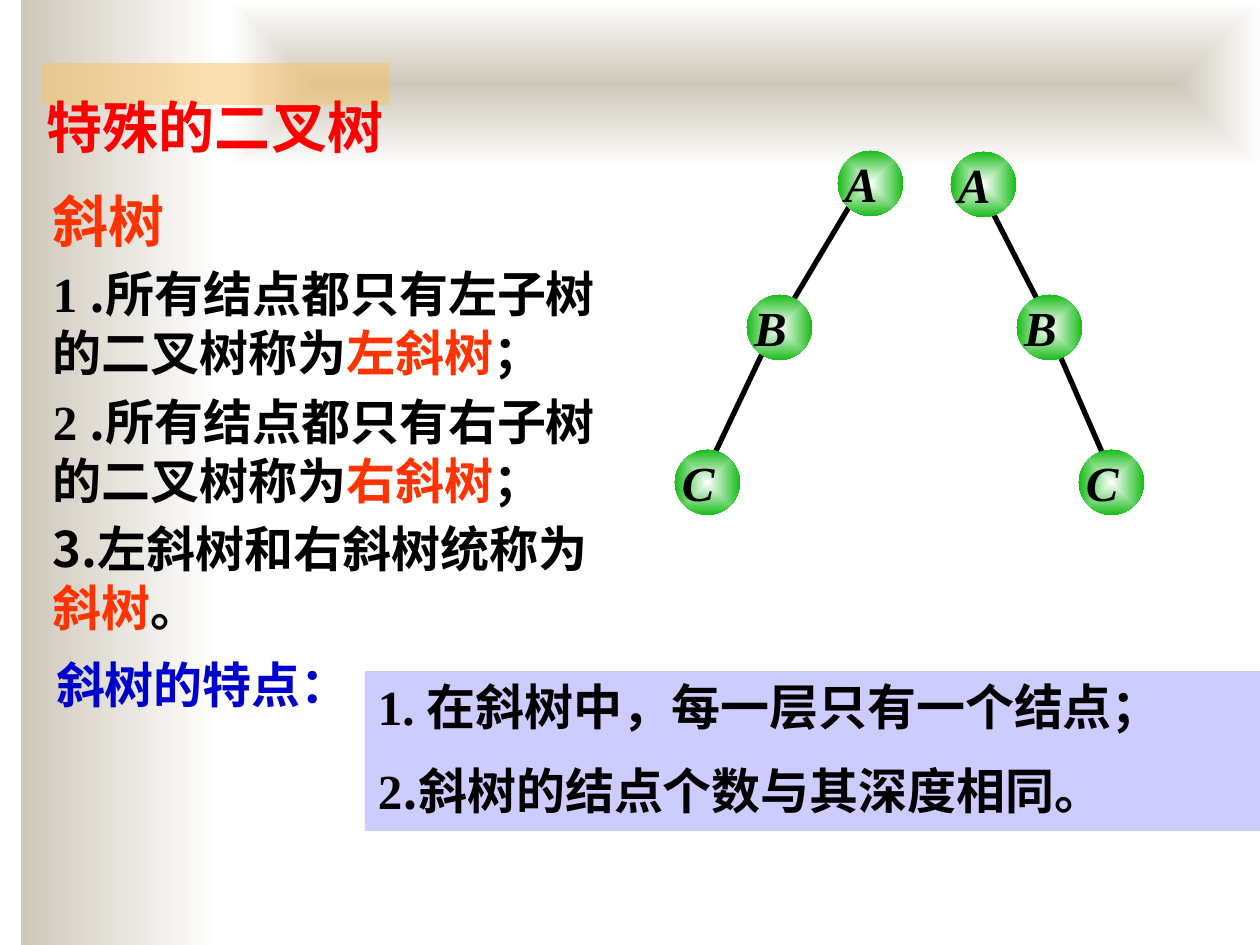
from dataclasses import dataclass

from lxml.etree import SubElement
from pptx import Presentation
from pptx.dml.color import RGBColor
from pptx.enum.shapes import MSO_CONNECTOR as Connector, MSO_SHAPE as Preset
from pptx.enum.text import MSO_ANCHOR as Anchor, PP_ALIGN as Align
from pptx.oxml.ns import qn
from pptx.util import Emu, Pt

EMU_PER_PX = 914400 / 126


@dataclass(frozen=True)
class Theme:
    latin: str = "Times New Roman"
    cjk: str = "Noto Sans CJK SC"
    heading: int = 32
    body: int = 28
    line_height: float = 1.2
    black: str = "000000"
    red: str = "FF0000"
    accent: str = "FF3300"
    blue: str = "0000CC"
    white: str = "FFFFFF"
    sand: str = "CEC8BA"
    highlight: str = "FAC164"
    panel: str = "CCCCFF"
    node: str = "00B400"


THEME = Theme()


def px(value):
    return Emu(round(value * EMU_PER_PX))


def px_all(values):
    return [px(value) for value in values]


def apply(target, formats):
    for name, value in formats.items():
        setattr(target, name, value)


def add_plain_shape(shapes, preset, box):
    shape = shapes.add_shape(preset, *px_all(box))
    shape.shadow.inherit = False
    shape.line.fill.background()
    return shape


def fill_solid(shape, color):
    shape.fill.solid()
    shape.fill.fore_color.rgb = RGBColor.from_string(color)


def fill_gradient(shape, start, end, from_centre=False):
    shape.fill.gradient()
    shape.fill.gradient_angle = 0
    for stop, color in zip(shape.fill.gradient_stops, (start, end)):
        stop.color.rgb = RGBColor.from_string(color)
    if from_centre:
        gradient = shape._element.spPr.find(qn("a:gradFill"))
        gradient.remove(gradient.find(qn("a:lin")))
        centre = SubElement(gradient, qn("a:path"), {"path": "shape"})
        SubElement(centre, qn("a:fillToRect"), dict.fromkeys("ltrb", "50000"))


def write_paragraphs(frame, paragraphs, gap, margins=(13, 6, 13, 6)):
    """Each paragraph is (size, runs); each run is (text, color, latin font)."""
    left, top, right, bottom = px_all(margins)
    apply(frame, {"word_wrap": True, "vertical_anchor": Anchor.TOP,
                  "margin_left": left, "margin_top": top,
                  "margin_right": right, "margin_bottom": bottom})
    for index, (size, runs) in enumerate(paragraphs):
        paragraph = frame.add_paragraph() if index else frame.paragraphs[0]
        apply(paragraph, {"alignment": Align.LEFT,
                          "space_before": Pt(size * gap if index else 0),
                          "line_spacing": Pt(size * THEME.line_height)})
        for text, color, font in runs:
            run = paragraph.add_run()
            run.text = text
            apply(run.font, {"name": font, "size": Pt(size), "bold": True})
            run.font.color.rgb = RGBColor.from_string(color)
            SubElement(run._r.rPr, qn("a:ea"), {"typeface": THEME.cjk})


def add_text(slide, box, paragraphs, gap, **options):
    frame = slide.shapes.add_textbox(*px_all(box)).text_frame
    write_paragraphs(frame, paragraphs, gap, **options)


def add_backdrop(slide, box):
    left, top, width, height = box
    # Side band and top banner
    side = add_plain_shape(slide.shapes, Preset.RECTANGLE, (left + 21, top, 199, height))
    fill_gradient(side, THEME.sand, THEME.white)
    banner = add_plain_shape(slide.shapes, Preset.RECTANGLE,
                             (left + 231, top, width - 231, 168))
    fill_gradient(banner, THEME.sand, THEME.white, from_centre=True)
    # Half-transparent highlight
    highlight = add_plain_shape(slide.shapes, Preset.RECTANGLE,
                                (left + 42, top + 63, 347, 42))
    fill_solid(highlight, THEME.highlight)
    color = highlight._element.spPr.find(qn("a:solidFill"))[0]
    SubElement(color, qn("a:alpha"), {"val": "50000"})


def add_title(slide, box):
    runs = [("特殊的二叉树", THEME.red, THEME.latin)]
    add_text(slide, box, [(THEME.heading, runs)], 0.5)


def add_definitions(slide, box):
    black, accent, latin, cjk = THEME.black, THEME.accent, THEME.latin, THEME.cjk
    paragraphs = [(THEME.heading, [("斜树", accent, latin)])]
    for number, side in (("1 ", "左"), ("2 ", "右")):
        paragraphs.append((THEME.body, [
            (number, black, latin),
            (f".所有结点都只有{side}子树的二叉树称为", black, cjk),
            (f"{side}斜树", accent, cjk),
            ("；", black, cjk)]))
    paragraphs.append((THEME.body, [("3.左斜树和右斜树统称为", black, cjk),
                                    ("斜树", accent, cjk), ("。", black, cjk)]))
    add_text(slide, box, paragraphs, 0.2, margins=(0, 6, 0, 6))


def add_features(slide, box):
    left, top, width, height = box
    black, latin, cjk = THEME.black, THEME.latin, THEME.cjk
    # Panel with the two features
    panel = add_plain_shape(slide.shapes, Preset.RECTANGLE,
                            (left + 322, top + 22, width - 322, height - 22))
    fill_solid(panel, THEME.panel)
    write_paragraphs(panel.text_frame, [
        (THEME.body, [("1. ", black, latin),
                      ("在斜树中，每一层只有一个结点；", black, cjk)]),
        (THEME.body, [("2", black, latin),
                      (".斜树的结点个数与其深度相同。", black, cjk)])], 0.5)
    # Label beside the panel
    add_text(slide, (left, top, 525, 72),
             [(THEME.body, [("斜树的特点：", THEME.blue, latin)])], 0.5)


def add_node(shapes, box, letter):
    left, top, _, _ = box
    circle = add_plain_shape(shapes, Preset.OVAL, box)
    circle.rotation = 352.6
    fill_gradient(circle, THEME.white, THEME.node, from_centre=True)
    frame = shapes.add_textbox(*px_all((left + 7, top - 5, 54, 76))).text_frame
    apply(frame, {"word_wrap": True, "margin_left": 0, "margin_top": px(8),
                  "margin_right": 0, "margin_bottom": 0})
    run = frame.paragraphs[0].add_run()
    run.text = letter
    apply(run.font, {"name": THEME.latin, "size": Pt(THEME.body),
                     "bold": True, "italic": True})
    run.font.color.rgb = RGBColor.from_string(THEME.black)


def add_tree(slide, origin, nodes, edges):
    left, top = origin
    shapes = slide.shapes.add_group_shape().shapes
    # Edges lie behind the nodes
    for x1, y1, x2, y2 in edges:
        edge = shapes.add_connector(
            Connector.STRAIGHT, *px_all((left + x1, top + y1, left + x2, top + y2)))
        edge.line.width = Pt(3)
        edge.line.color.rgb = RGBColor.from_string(THEME.black)
        SubElement(edge._element.spPr, qn("a:effectLst"))
    for letter, (x, y) in zip("ABC", nodes):
        add_node(shapes, (left + x, top + y, 65, 65), letter)


def main():
    presentation = Presentation()
    apply(presentation, {"slide_width": px(1260), "slide_height": px(945)})
    slide = presentation.slides.add_slide(presentation.slide_layouts[6])
    add_backdrop(slide, (0, 0, 1260, 945))
    add_title(slide, (34, 86, 546, 79))
    add_definitions(slide, (53, 181, 546, 469))
    add_features(slide, (43, 649, 1217, 182))
    # Left-leaning and right-leaning trees
    add_tree(slide, (675, 151), [(163, 0), (72, 144), (0, 299)],
             [(174, 56, 116, 153), (87, 203, 41, 300)])
    add_tree(slide, (951, 152), [(0, 0), (66, 143), (128, 298)],
             [(43, 63, 86, 147), (110, 206, 154, 307)])
    presentation.save("out.pptx")


if __name__ == "__main__":
    main()
